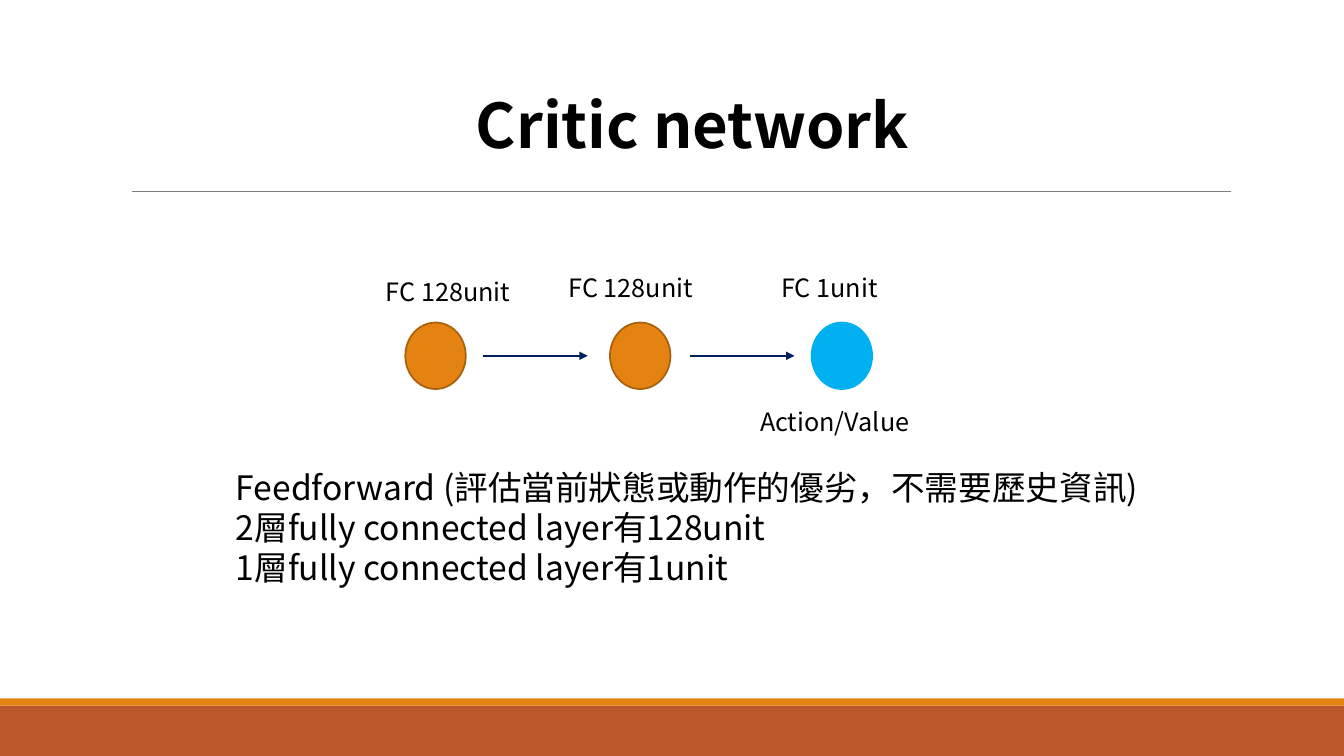
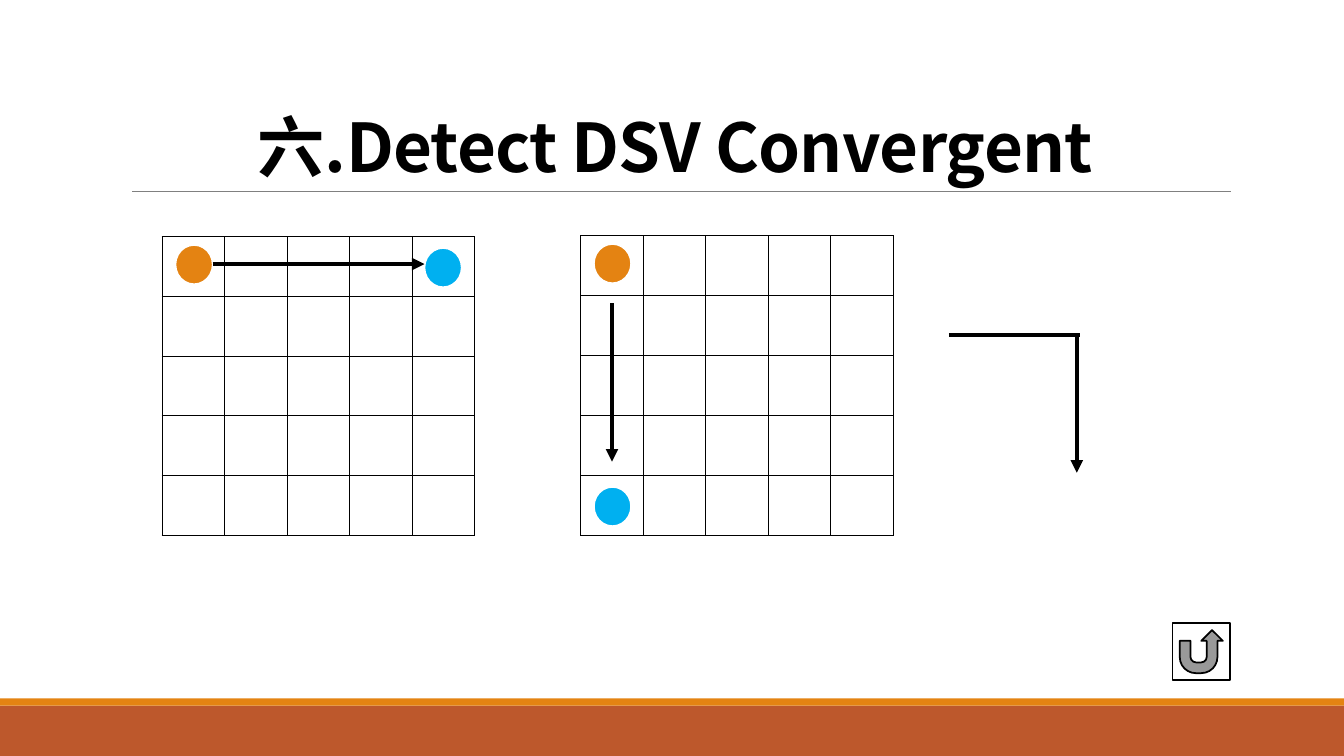
import pptx
import pptx.util
import pptx.dml.color
import pptx.enum.shapes
import pptx.enum.text
import pptx.oxml
import pptx.oxml.ns
import lxml.etree
from dataclasses import dataclass

Inches, Pt = pptx.util.Inches, pptx.util.Pt
Rgb = pptx.dml.color.RGBColor.from_string
Form = pptx.enum.shapes.MSO_SHAPE
Align, Anchor = pptx.enum.text.PP_ALIGN, pptx.enum.text.MSO_ANCHOR
qn = pptx.oxml.ns.qn


@dataclass(frozen=True)
class Theme:
    font: str = "Noto Sans CJK SC"
    ink: str = "000000"
    paper: str = "FFFFFF"
    rust: str = "BD582C"
    gold: str = "E48312"
    brown: str = "A9610D"
    sky: str = "00B0F0"
    navy: str = "002060"
    gray: str = "808080"
    label: int = 18
    body: int = 24
    head: int = 44
    big: int = 48


T = Theme()


def draw(page, form, box, fill, edge=None):
    shape = page.shapes.add_shape(form, *map(Inches, box))
    shape.shadow.inherit = False
    shape.fill.solid()
    shape.fill.fore_color.rgb = Rgb(fill)
    if edge:
        shape.line.color.rgb = Rgb(edge)
        shape.line.width = Pt(1.25)
    else:
        shape.line.fill.background()
    return shape


def link(page, ends, color, width, arrow=True):
    line = page.shapes.add_connector(
        pptx.enum.shapes.MSO_CONNECTOR.STRAIGHT, *map(Inches, ends))
    line.line.color.rgb = Rgb(color)
    line.line.width = Pt(width)
    if arrow:
        tip = lxml.etree.SubElement(line.line._get_or_add_ln(), qn("a:tailEnd"))
        tip.set("type", "triangle")
    lxml.etree.SubElement(line.element.spPr, qn("a:effectLst"))
    return line


deck = pptx.Presentation()
deck.slide_width, deck.slide_height = Inches(13.33), Inches(7.5)
blank = deck.slide_layouts[6]
for holder in list(blank.placeholders):
    holder.element.getparent().remove(holder.element)
critic, detect = [deck.slides.add_slide(blank) for _ in range(2)]

# Bands and title rule, moved to the shared layout
frame = [
    draw(critic, Form.RECTANGLE, (0, 7, 13.33, 0.5), T.rust),
    draw(critic, Form.RECTANGLE, (0, 6.93, 13.33, 0.07), T.gold),
    link(critic, (1.31, 1.9, 12.21, 1.9), T.gray, 0.5, arrow=False),
]
for part in frame:
    blank.shapes.element.append(part.element)

# Critic network: three nodes joined by arrows
for left, fill, edge in [(4.02, T.gold, T.brown), (6.05, T.gold, T.brown),
                         (8.05, T.sky, T.sky)]:
    draw(critic, Form.OVAL, (left, 3.2, 0.6, 0.66), fill, edge)
for left in (4.79, 6.84):
    link(critic, (left, 3.53, left + 1.04, 3.53), T.navy, 1)

# Convergence: two square grids
count = 5
for left, top, high in [(1.61, 2.35, 2.96), (5.76, 2.34, 2.97)]:
    grid = detect.shapes.add_table(
        count, count, *map(Inches, (left, top, 3.1, high))).table
    grid.first_row = grid.horz_banding = False
    for cell in grid.iter_cells():
        prop = cell._tc.get_or_add_tcPr()
        for side in "LRTB":
            edge = lxml.etree.SubElement(prop, qn(f"a:ln{side}"), w=str(Pt(1)))
            fill = lxml.etree.SubElement(edge, qn("a:solidFill"))
            lxml.etree.SubElement(fill, qn("a:srgbClr"), val=T.ink)
        cell.fill.solid()
        cell.fill.fore_color.rgb = Rgb(T.paper)

# Start and end dots with their paths
for left, top, fill in [(1.74, 2.43, T.gold), (4.21, 2.46, T.sky),
                        (5.89, 2.42, T.gold), (5.89, 4.83, T.sky)]:
    draw(detect, Form.OVAL, (left, top, 0.37, 0.39), fill, T.paper)
for ends, arrow in [((2.11, 2.62, 4.21, 2.62), True),
                    ((6.07, 3.01, 6.07, 4.58), True),
                    ((10.68, 3.32, 10.68, 4.69), True),
                    ((9.41, 3.32, 10.71, 3.32), False)]:
    link(detect, ends, T.ink, 3, arrow)
draw(detect, Form.ACTION_BUTTON_RETURN, (11.63, 6.18, 0.57, 0.57),
     T.paper, T.ink)

# Titles: page, place, words, size, anchor, line spacing, tracking
titles = [
    (critic, (1.37, 0.48, 11, 1.59), "Critic network", T.head,
     Anchor.MIDDLE, 0.9, 0),
    (detect, (1.2, 0.31, 11, 1.59), "六.Detect DSV Convergent", T.big,
     Anchor.BOTTOM, 0.85, -50),
]
# Notes: place, lines, size, wrap
notes = [
    ((3.73, 2.69, 1.47, 0.4), ["FC 128unit"], T.label, False),
    ((5.54, 2.65, 1.47, 0.4), ["FC 128unit"], T.label, False),
    ((7.65, 2.65, 1.18, 0.4), ["FC 1unit"], T.label, False),
    ((7.44, 3.98, 1.73, 0.4), ["Action/Value"], T.label, False),
    ((2.24, 4.58, 9.19, 1.72),
     ["Feedforward (評估當前狀態或動作的優劣，不需要歷史資訊)",
      "2層fully connected layer有128unit",
      "1層fully connected layer有1unit"], T.body, True),
]
texts = [(page, box, [words], size, True, True, Align.CENTER, anchor, gap, track)
         for page, box, words, size, anchor, gap, track in titles]
texts += [(critic, box, lines, size, wrap, False, Align.LEFT, Anchor.TOP, 1, 0)
          for box, lines, size, wrap in notes]

# All text, run by run
for page, box, lines, size, wrap, bold, align, anchor, gap, track in texts:
    body = page.shapes.add_textbox(*map(Inches, box)).text_frame
    body.word_wrap = wrap
    body.vertical_anchor = anchor
    for row, words in enumerate(lines):
        para = body.add_paragraph() if row else body.paragraphs[0]
        para.alignment = align
        para.line_spacing = gap
        run = para.add_run()
        run.text = words
        run.font.size = Pt(size)
        run.font.bold = bold
        run.font.name = T.font
        run.font.color.rgb = Rgb(T.ink)
        prop = run._r.get_or_add_rPr()
        lxml.etree.SubElement(prop, qn("a:ea"), typeface=T.font)
        if track:
            prop.set("spc", str(track))

deck.save("out.pptx")
